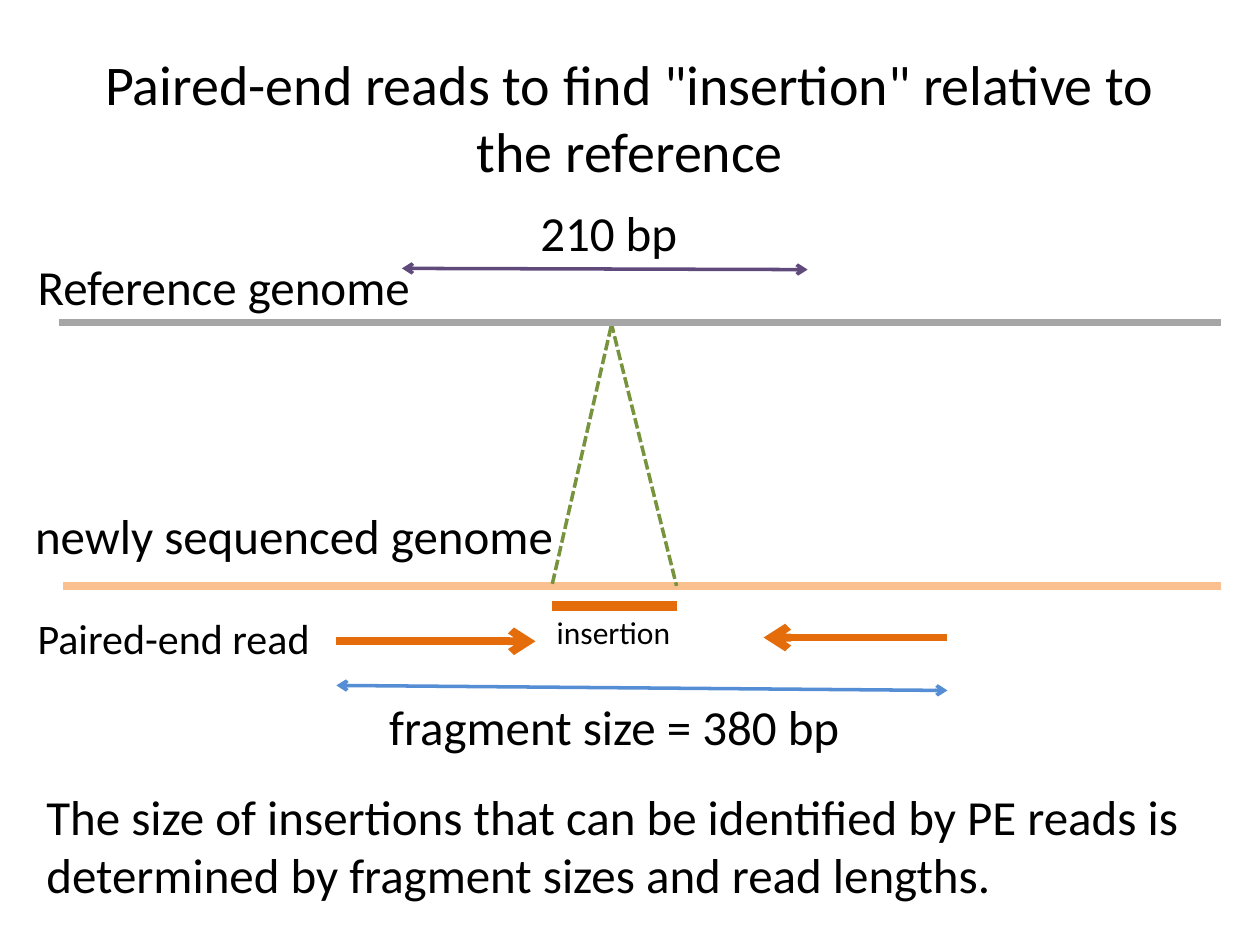
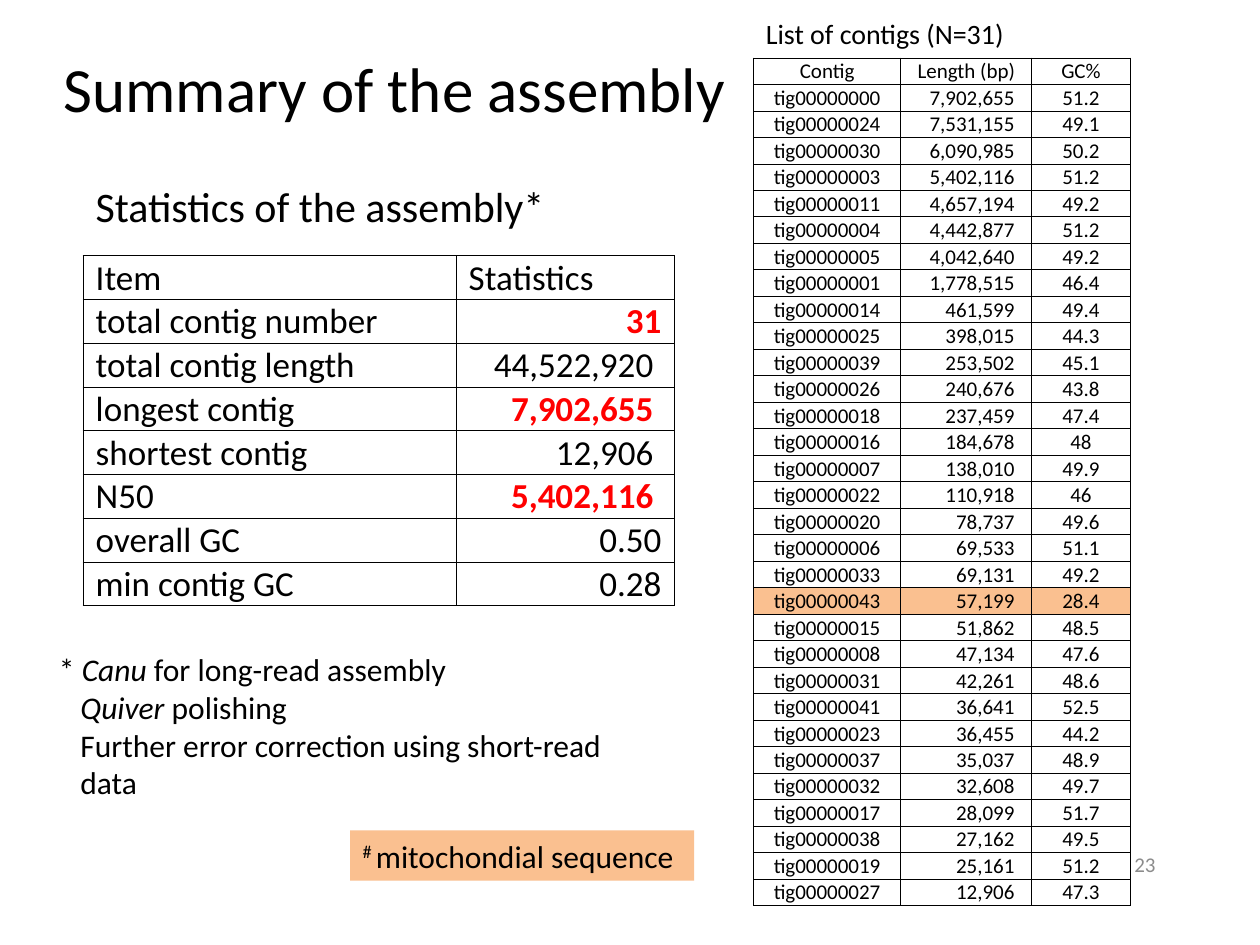
from dataclasses import dataclass
from typing import NamedTuple

from lxml.etree import SubElement
from pptx import Presentation
from pptx.dml.color import RGBColor
from pptx.enum.dml import MSO_LINE as Dash
from pptx.enum.shapes import MSO_CONNECTOR as Link, MSO_SHAPE as Preset
from pptx.enum.text import MSO_ANCHOR as Anchor, MSO_AUTO_SIZE as Fit, PP_ALIGN as Align
from pptx.oxml.ns import qn
from pptx.util import Inches, Pt

# Grid: 100 columns by 75 rows of square units
WIDTH, HEIGHT = Inches(10), Inches(7.5)
COLUMNS = 100
UNIT = WIDTH // COLUMNS


def grid(units: float) -> int:
    return round(units * UNIT)


@dataclass(frozen=True)
class Theme:
    font: str = "Calibri"
    text: str = "000000"
    page_number: str = "8C8C8C"
    alert: str = "FF0000"
    reference: str = "A6A6A6"
    sequenced: str = "FAC090"
    read: str = "E46C0A"
    fragment: str = "558ED5"
    reference_span: str = "604A7B"
    insertion_site: str = "77933C"
    summary_title: int = 36
    title: int = 32
    body: int = 28
    heading: int = 24
    statistics: int = 20
    note: int = 18
    list_title: int = 16
    small: int = 12


THEME = Theme()


class Box(NamedTuple):
    left: float
    top: float
    width: float
    height: float


class Part(NamedTuple):
    text: str
    italic: bool = False
    superscript: bool = False


@dataclass(frozen=True)
class Label:
    box: Box
    paragraphs: tuple[tuple[Part, ...], ...]
    size: int
    colour: str = THEME.text
    align: Align = Align.LEFT
    anchor: Anchor = Anchor.TOP
    wrap: bool = False
    grow: bool = True
    fill: str | None = None
    hanging: float = 0


@dataclass(frozen=True)
class Stroke:
    start: tuple[float, float]
    end: tuple[float, float]
    colour: str
    weight: float
    start_arrow: bool = False
    end_arrow: bool = False
    dashed: bool = False


class Entry(NamedTuple):
    text: str
    align: Align = Align.LEFT
    margin: float = 1
    alert: bool = False
    fill: str | None = None


@dataclass(frozen=True)
class Grid:
    box: Box
    columns: tuple[float, ...]
    rows: list[list[Entry]]
    size: int
    anchor: Anchor


def plain(text: str) -> tuple[tuple[Part, ...], ...]:
    return ((Part(text),),)


def title(box: Box, text: str, size: int) -> Label:
    return Label(box, plain(text), size, align=Align.CENTER,
                 anchor=Anchor.MIDDLE, wrap=True, grow=False)


# Drawing functions
def add_run(paragraph, text: str, size: int, colour: str):
    run = paragraph.add_run()
    run.text = text
    run.font.name = THEME.font
    run.font.size = Pt(size)
    run.font.color.rgb = RGBColor.from_string(colour)
    return run


def draw_label(slide, label: Label) -> None:
    place = [grid(length) for length in label.box]
    if label.fill:
        holder = slide.shapes.add_shape(Preset.RECTANGLE, *place)
        holder.shadow.inherit = False
        holder.fill.solid()
        holder.fill.fore_color.rgb = RGBColor.from_string(label.fill)
        holder.line.fill.background()
    else:
        holder = slide.shapes.add_textbox(*place)
    frame = holder.text_frame
    frame.word_wrap = label.wrap
    frame.auto_size = Fit.SHAPE_TO_FIT_TEXT if label.grow else Fit.NONE
    frame.vertical_anchor = label.anchor
    for index, parts in enumerate(label.paragraphs):
        paragraph = frame.add_paragraph() if index else frame.paragraphs[0]
        paragraph.alignment = label.align
        if label.hanging:
            properties = paragraph._p.get_or_add_pPr()
            properties.set("marL", str(grid(label.hanging)))
            properties.set("indent", str(0 if index else -grid(label.hanging)))
        for part in parts:
            run = add_run(paragraph, part.text, label.size, label.colour)
            run.font.italic = part.italic
            if part.superscript:
                run._r.get_or_add_rPr().set("baseline", "30000")


def draw_stroke(slide, stroke: Stroke) -> None:
    ends = [grid(length) for length in (*stroke.start, *stroke.end)]
    connector = slide.shapes.add_connector(Link.STRAIGHT, *ends)
    line = connector.line
    line.color.rgb = RGBColor.from_string(stroke.colour)
    line.width = Pt(stroke.weight)
    if stroke.dashed:
        line.dash_style = Dash.SQUARE_DOT
    outline = line._get_or_add_ln()
    for tag, wanted in (("a:headEnd", stroke.start_arrow), ("a:tailEnd", stroke.end_arrow)):
        if wanted:
            SubElement(outline, qn(tag)).set("type", "arrow")
    SubElement(connector._element.spPr, qn("a:effectLst"))


def draw_borders(cell) -> None:
    properties = cell._tc.get_or_add_tcPr()
    for side in "LRTB":
        border = SubElement(properties, qn(f"a:ln{side}"), w=str(Pt(0.5)))
        fill = SubElement(border, qn("a:solidFill"))
        SubElement(fill, qn("a:srgbClr"), val=THEME.text)


def draw_entry(cell, entry: Entry, size: int, anchor: Anchor) -> None:
    cell.margin_left = cell.margin_right = grid(entry.margin)
    cell.margin_top, cell.margin_bottom = grid(0.07), 0
    cell.vertical_anchor = anchor
    draw_borders(cell)
    if entry.fill:
        cell.fill.solid()
        cell.fill.fore_color.rgb = RGBColor.from_string(entry.fill)
    else:
        cell.fill.background()
    paragraph = cell.text_frame.paragraphs[0]
    paragraph.alignment = entry.align
    colour = THEME.alert if entry.alert else THEME.text
    add_run(paragraph, entry.text, size, colour).font.bold = entry.alert


def draw_table(slide, spec: Grid) -> None:
    place = [grid(length) for length in spec.box]
    table = slide.shapes.add_table(len(spec.rows), len(spec.columns), *place).table
    table.first_row = table.horz_banding = False
    for column, width in zip(table.columns, spec.columns):
        column.width = grid(width)
    for row, entries in zip(table.rows, spec.rows):
        row.height = grid(spec.box.height / len(spec.rows))
        for cell, entry in zip(row.cells, entries):
            draw_entry(cell, entry, spec.size, spec.anchor)


DRAW = {Label: draw_label, Stroke: draw_stroke, Grid: draw_table}

# Slide 1: insertion diagram
REFERENCE_Y, SEQUENCED_Y = 25.6, 46.5
GENOME_END = 96.9
FRAGMENT_START, FRAGMENT_END = 26.7, 75.2
INSERT_START, INSERT_END, SITE = 43.8, 53.7, 48.5

INSERTION = [
    title(Box(5, 3, 90, 12.5),
          'Paired-end reads to find "insertion" relative to the reference', THEME.title),
    # Reads, sequenced genome and fragment
    Stroke((FRAGMENT_START, 50.9), (42.5, 50.9), THEME.read, 4.5, end_arrow=True),
    Stroke((FRAGMENT_END, 50.6), (60.6, 50.6), THEME.read, 4.5, end_arrow=True),
    Stroke((5, SEQUENCED_Y), (GENOME_END, SEQUENCED_Y), THEME.sequenced, 4.5),
    Stroke((FRAGMENT_START, 54.4), (FRAGMENT_END, 54.8), THEME.fragment, 2, True, True),
    Label(Box(29.9, 54.8, 38.3, 5.7), plain("fragment size = 380 bp"), THEME.body),
    # Insertion site
    Stroke((SITE, 25.9), (INSERT_START, SEQUENCED_Y), THEME.insertion_site, 2, dashed=True),
    Stroke((SITE, REFERENCE_Y), (INSERT_END, SEQUENCED_Y), THEME.insertion_site, 2, dashed=True),
    # Reference genome
    Stroke((31.9, 21.3), (64.1, 21.4), THEME.reference_span, 2, True, True),
    Label(Box(41.9, 15.6, 13, 5.7), plain("210 bp"), THEME.body),
    Label(Box(2, 48.1, 24, 5), plain("Paired-end read"), THEME.heading),
    Stroke((4.7, REFERENCE_Y), (GENOME_END, REFERENCE_Y), THEME.reference, 4.5),
    Label(Box(2, 19.9, 32.2, 5.7), plain("Reference genome"), THEME.body),
    # Inserted sequence and conclusion
    Stroke((INSERT_START, 48.1), (INSERT_END, 48.1), THEME.read, 6),
    Label(Box(43.2, 48.2, 11.1, 4), plain("insertion"), THEME.note),
    Label(Box(2.7, 61.9, 92.3, 10.4),
          plain("The size of insertions that can be identified by PE reads is "
                "determined by fragment sizes and read lengths."), THEME.body, wrap=True),
    Label(Box(1.8, 39.6, 43.6, 5.7), plain("newly sequenced genome"), THEME.body),
]

# Slide 2: assembly figures
STATISTICS = [
    ("total contig number", "31", True),
    ("total contig length", "44,522,920 ", False),
    ("longest contig", "7,902,655 ", True),
    ("shortest contig", "12,906 ", False),
    ("N50", "5,402,116 ", True),
    ("overall GC", "0.50", False),
    ("min contig GC", "0.28", False),
]
MITOCHONDRIAL = 43
CONTIGS = [
    (0, 7902655, 51.2), (24, 7531155, 49.1), (30, 6090985, 50.2), (3, 5402116, 51.2),
    (11, 4657194, 49.2), (4, 4442877, 51.2), (5, 4042640, 49.2), (1, 1778515, 46.4),
    (14, 461599, 49.4), (25, 398015, 44.3), (39, 253502, 45.1), (26, 240676, 43.8),
    (18, 237459, 47.4), (16, 184678, 48), (7, 138010, 49.9), (22, 110918, 46),
    (20, 78737, 49.6), (6, 69533, 51.1), (33, 69131, 49.2), (43, 57199, 28.4),
    (15, 51862, 48.5), (8, 47134, 47.6), (31, 42261, 48.6), (41, 36641, 52.5),
    (23, 36455, 44.2), (37, 35037, 48.9), (32, 32608, 49.7), (17, 28099, 51.7),
    (38, 27162, 49.5), (19, 25161, 51.2), (27, 12906, 47.3),
]


def contig_row(number: int, length: int, gc: float) -> list[Entry]:
    fill = THEME.sequenced if number == MITOCHONDRIAL else None
    return [Entry(f"tig{number:08d}", Align.CENTER, 0.1, fill=fill),
            Entry(f"{length:,} ", Align.RIGHT, fill=fill),
            Entry(f"{gc}", Align.CENTER, 0.1, fill=fill)]


statistics_rows = [[Entry("Item"), Entry("Statistics")]] + [
    [Entry(item), Entry(value, Align.RIGHT, alert=alert)] for item, value, alert in STATISTICS]
contig_rows = [[Entry(head, Align.CENTER, 0.1) for head in ("Contig", "Length (bp)", "GC%")]] + [
    contig_row(*contig) for contig in CONTIGS]

ASSEMBLY = [
    title(Box(2.9, 2, 56.8, 9.8), "Summary of the assembly", THEME.summary_title),
    Label(Box(59.8, 0.8, 21.2, 3.7), plain("List of contigs (N=31)"), THEME.list_title),
    Label(Box(6.6, 13.8, 38.1, 5), plain("Statistics of the assembly*"), THEME.heading),
    Label(Box(27.8, 65.9, 27.3, 4),
          ((Part("# ", superscript=True), Part("mitochondial sequence")),),
          THEME.note, fill=THEME.sequenced),
    Label(Box(69.4, 66.6, 23.3, 4), plain("23"), THEME.small, THEME.page_number,
          Align.RIGHT, Anchor.MIDDLE, wrap=True, grow=False),
    Grid(Box(6.6, 20.3, 46.9, 27.8), (29.6, 17.3), statistics_rows,
         THEME.statistics, Anchor.BOTTOM),
    Grid(Box(59.8, 4.6, 29.9, 67.3), (11.7, 10.4, 7.8), contig_rows,
         THEME.small, Anchor.MIDDLE),
    # Methods note
    Label(Box(3.7, 51.1, 48.3, 10.1),
          ((Part("* "), Part("Canu", italic=True), Part(" for long-read assembly")),
           (Part("Quiver ", italic=True), Part("polishing")),
           (Part("Further error correction using short-read data"),)),
          THEME.note, hanging=1.7),
]


def main() -> None:
    deck = Presentation()
    deck.slide_width, deck.slide_height = WIDTH, HEIGHT
    for content in (INSERTION, ASSEMBLY):
        slide = deck.slides.add_slide(deck.slide_layouts[6])
        for element in content:
            DRAW[type(element)](slide, element)
    deck.save("out.pptx")


if __name__ == "__main__":
    main()
